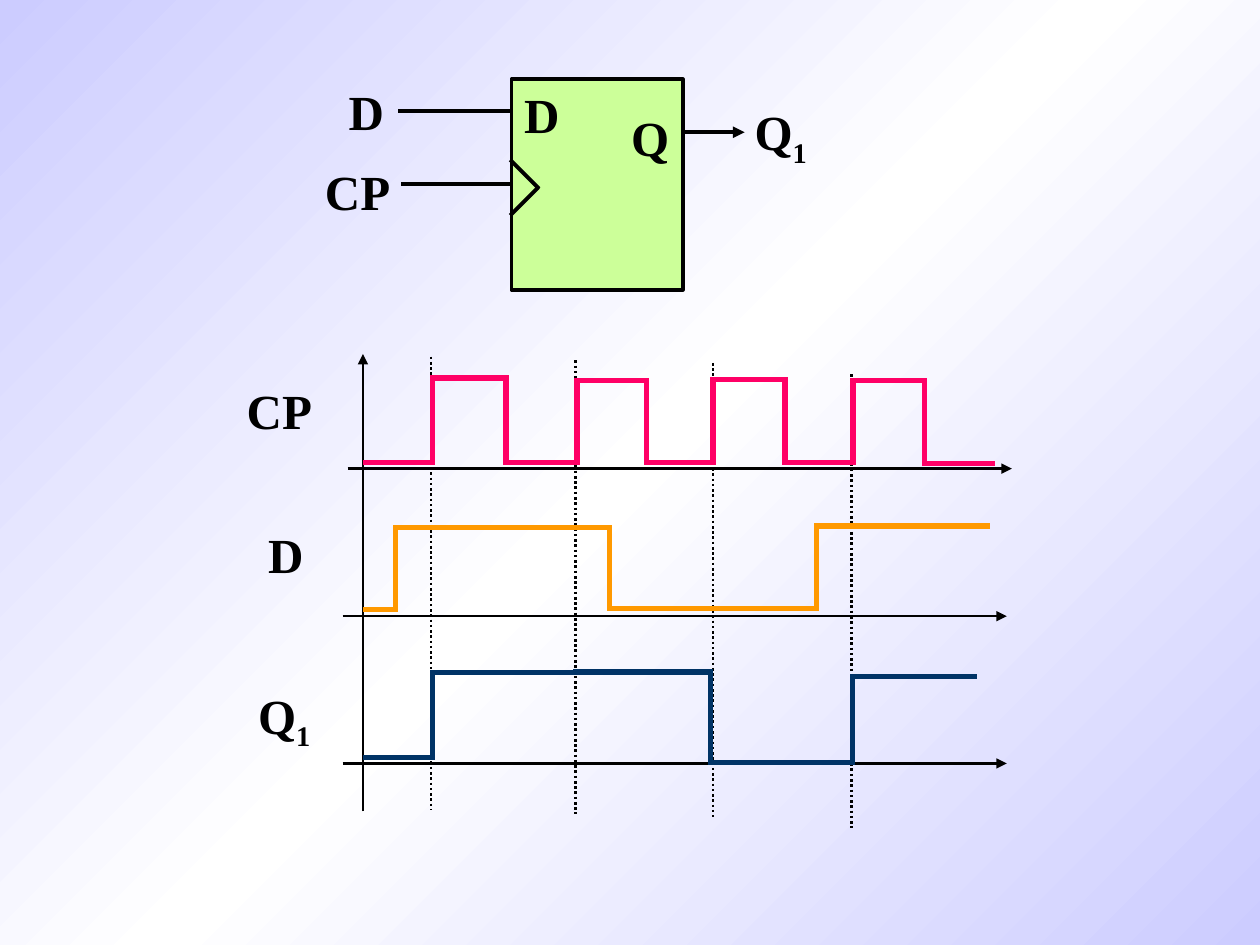
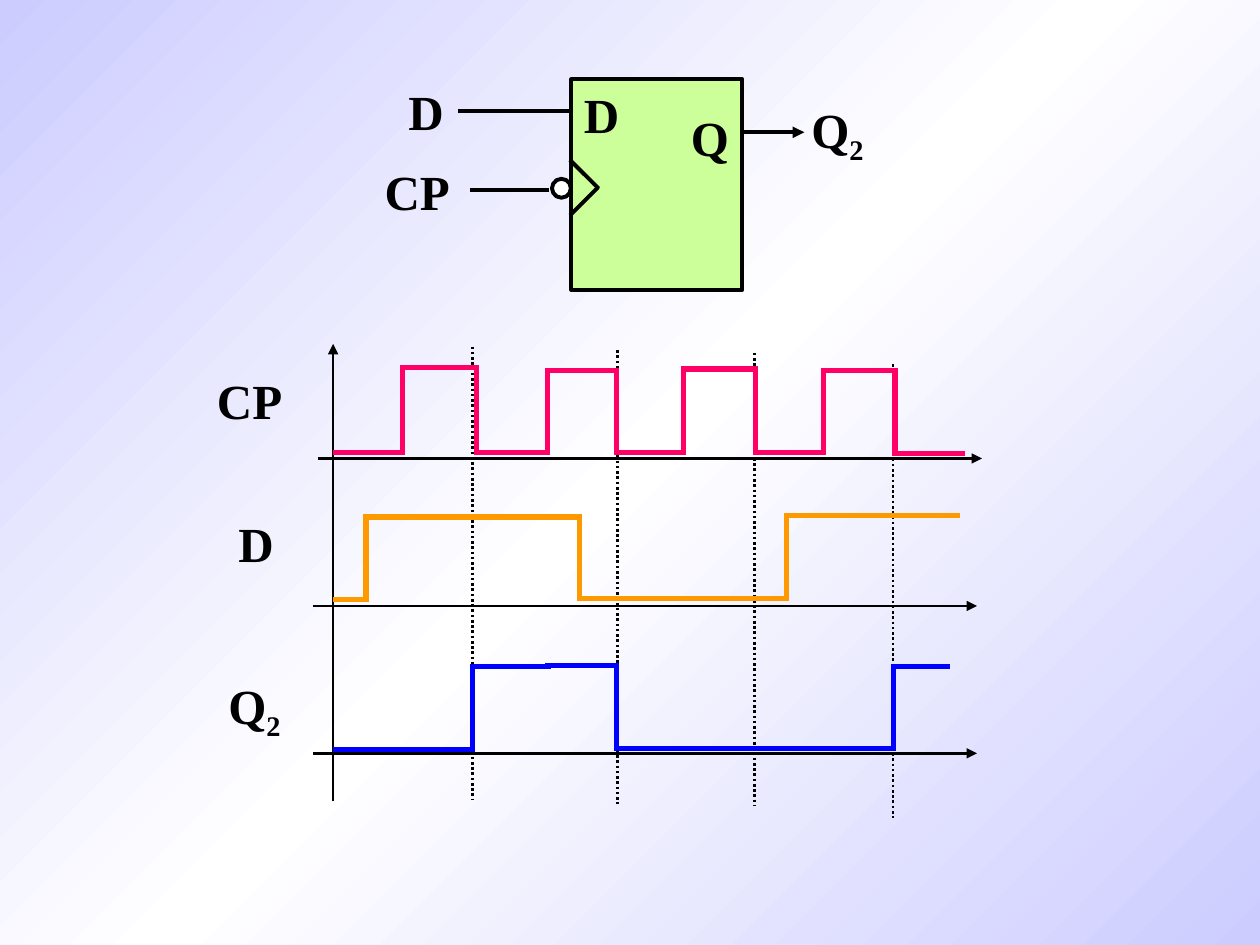
"""Build two D flip-flop slides, each with a circuit symbol and its timing diagram."""
from copy import deepcopy
from dataclasses import dataclass
from itertools import pairwise

from lxml import etree
from pptx import Presentation
from pptx.dml.color import RGBColor
from pptx.enum.dml import MSO_LINE
from pptx.enum.shapes import MSO_CONNECTOR, MSO_SHAPE
from pptx.enum.text import MSO_ANCHOR, PP_ALIGN
from pptx.oxml.ns import qn
from pptx.util import Pt

STRAIGHT = MSO_CONNECTOR.STRAIGHT
RECTANGLE, OVAL = MSO_SHAPE.RECTANGLE, MSO_SHAPE.OVAL
DOTTED = MSO_LINE.ROUND_DOT
MIDDLE, TOP = MSO_ANCHOR.MIDDLE, MSO_ANCHOR.TOP
CENTER, LEFT = PP_ALIGN.CENTER, PP_ALIGN.LEFT

FONT, FONT_SIZE = "Times New Roman", 28
INK, WHITE, BODY_GREEN = "000000", "FFFFFF", "CCFF99"
CLOCK_PINK, DATA_ORANGE = "FF0066", "FF9900"
BACKDROP = [(0, "CCCCFF"), (0.5, "FFFFFF"), (1, "CCCCFF")]
AXIS_WEIGHT, WAVE_WEIGHT, SYMBOL_WEIGHT = 1.5, 3, 2.25
GUIDES = [(246.2, 203.8), (329, 205.9), (407.5, 207.4), (486.7, 213.8)]
GUIDE_LENGTH = 259.2
AXIS_LENGTH = 379.5
AXES = [(198.7, 267.8), (195.8, 352.1), (195.8, 436.3)]


@dataclass
class Label:
    """A signal name with an optional subscript."""
    text: str
    left: float
    top: float
    width: float
    sub: str = ""
    centered: bool = False


@dataclass
class Wire:
    """A straight line from one point to another."""
    x1: float
    y1: float
    x2: float
    y2: float
    weight: float
    color: str = INK
    arrow: bool = False
    dotted: bool = False
    square_ends: bool = False


@dataclass
class Wave:
    """A stepped signal that holds each level between two neighbouring edges."""
    color: str
    edges: list[float]
    levels: list[float]


@dataclass
class FlipFlop:
    """What differs between the two flip-flops."""
    number: str
    symbol_shift: float
    timing_shift: tuple[float, float]
    guide_shift: float
    output_at: tuple[float, float]
    clock_wire: Wire
    inverted: bool
    output: Wave


CLOCK = Wave(CLOCK_PINK,
             [208.8, 247, 289.1, 329.8, 369.4, 407.5, 448.6, 487.4, 528.5, 567],
             [264.2, 216, 264.2, 217.4, 264.2, 216.7, 264.2, 217.4, 264.8])
DATA = Wave(DATA_ORANGE, [208.8, 226.1, 348.1, 466.6, 564],
            [348.5, 301.3, 347.8, 300.6])
FLIP_FLOPS = [
    FlipFlop("1", 0, (0, 0), 0, (424.1, 54.7),
             Wire(291.6, 105.1, 229, 105.1, SYMBOL_WEIGHT), False,
             Wave("003366", [208.8, 247, 329, 406.1, 487.1, 556.5],
                  [432.7, 384.5, 384, 435.6, 386.6])),
    FlipFlop("2", 34.1, (-17, -5.8), 40.7, (422.4, 53.3),
             Wire(279.8, 108.7, 234.5, 108.7, SYMBOL_WEIGHT), True,
             Wave("0000FF", [208.8, 287, 330.2, 369.4, 527.5, 558.5],
                  [434.2, 386.7, 386.2, 433.5, 386.7])),
]


def rgb(color: str) -> RGBColor:
    """Turn a hex string into a colour."""
    return RGBColor.from_string(color)


class Panel:
    """A part of a slide drawn at a common offset."""

    def __init__(self, slide, dx: float, dy: float = 0) -> None:
        """Remember the slide and the offset."""
        self.shapes, self.dx, self.dy = slide.shapes, dx, dy

    def wire(self, wire: Wire) -> None:
        """Draw a wire, dotted or with an arrowhead if asked."""
        connector = self.shapes.add_connector(
            STRAIGHT, Pt(wire.x1 + self.dx), Pt(wire.y1 + self.dy),
            Pt(wire.x2 + self.dx), Pt(wire.y2 + self.dy))
        connector.line.color.rgb = rgb(wire.color)
        connector.line.width = Pt(wire.weight)
        if wire.dotted:
            connector.line.dash_style = DOTTED
        properties = connector._element.spPr
        outline = properties.find(qn("a:ln"))
        if wire.square_ends:
            outline.set("cap", "sq")
        if wire.arrow:
            etree.SubElement(outline, qn("a:tailEnd"), type="triangle")
        etree.SubElement(properties, qn("a:effectLst"))

    def wave(self, wave: Wave) -> None:
        """Draw a stepped signal, one wire for each stretch."""
        corners = [(x, level)
                   for level, span in zip(wave.levels, pairwise(wave.edges))
                   for x in span]
        for start, end in pairwise(corners):
            self.wire(Wire(*start, *end, WAVE_WEIGHT, wave.color, square_ends=True))

    def outline(self, kind, left: float, top: float, width: float, height: float,
                fill: str) -> None:
        """Draw a filled shape with the symbol outline."""
        shape = self.shapes.add_shape(kind, Pt(left + self.dx), Pt(top + self.dy),
                                      Pt(width), Pt(height))
        shape.shadow.inherit = False
        shape.fill.solid()
        shape.fill.fore_color.rgb = rgb(fill)
        shape.line.color.rgb = rgb(INK)
        shape.line.width = Pt(SYMBOL_WEIGHT)

    def label(self, label: Label) -> None:
        """Write a signal name."""
        height = 45.4 if label.sub else 41
        box = self.shapes.add_textbox(Pt(label.left + self.dx), Pt(label.top + self.dy),
                                      Pt(label.width), Pt(height))
        frame = box.text_frame
        frame.word_wrap = not label.centered
        frame.vertical_anchor = MIDDLE if label.centered else TOP
        paragraph = frame.paragraphs[0]
        paragraph.alignment = CENTER if label.centered else LEFT
        paragraph.add_run().text = label.text
        if label.sub:
            subscript = paragraph.add_run()
            subscript.text = label.sub
            subscript._r.get_or_add_rPr().set("baseline", "-25000")
        font = paragraph.font
        font.name, font.size, font.bold = FONT, Pt(FONT_SIZE), True
        font.color.rgb = rgb(INK)


def draw_timing(slide, flip_flop: FlipFlop) -> None:
    """Draw the signal names, guides, axes and waves."""
    panel = Panel(slide, *flip_flop.timing_shift)
    for label in (Label("CP", 133.9, 213.8, 54), Label("D", 146.2, 295.9, 48.2),
                  Label("Q", 140.4, 388.1, 54, flip_flop.number)):
        panel.label(label)
    for guide_x, top in GUIDES:
        x = guide_x + flip_flop.guide_shift
        panel.wire(Wire(x, top, x, top + GUIDE_LENGTH, AXIS_WEIGHT, dotted=True))
    for left, y in AXES:
        panel.wire(Wire(left, y, left + AXIS_LENGTH, y, AXIS_WEIGHT, arrow=True))
    panel.wire(Wire(207.4, 463.7, 207.4, 202.3, AXIS_WEIGHT, arrow=True))
    for wave in (CLOCK, DATA, flip_flop.output):
        panel.wave(wave)


def draw_symbol(slide, flip_flop: FlipFlop) -> None:
    """Draw the flip-flop with its inputs and output."""
    panel = Panel(slide, flip_flop.symbol_shift)
    panel.outline(RECTANGLE, 292.3, 45.4, 97.9, 120.2, BODY_GREEN)
    for wire in (Wire(227.5, 63.4, 291.6, 63.4, SYMBOL_WEIGHT),
                 Wire(291.6, 91.4, 308, 107.8, SYMBOL_WEIGHT),
                 Wire(307.7, 107, 291.6, 123.1, SYMBOL_WEIGHT),
                 Wire(390.2, 75.6, 425.5, 75.6, SYMBOL_WEIGHT, arrow=True),
                 flip_flop.clock_wire):
        panel.wire(wire)
    if flip_flop.inverted:
        panel.outline(OVAL, 281.3, 102.2, 10.8, 10.8, WHITE)
    for label in (Label("D", 292.3, 44.6, 34.6, centered=True),
                  Label("Q", 353.5, 57.6, 36, centered=True),
                  Label("D", 192.2, 43.2, 41), Label("CP", 178.6, 88.6, 52.6),
                  Label("Q", *flip_flop.output_at, 56.9, flip_flop.number)):
        panel.label(label)


def paint_backdrop(master) -> None:
    """Give every slide the diagonal gradient."""
    fill = master.background.fill
    fill.gradient()
    fill.gradient_angle = 315
    stops = master._element.find(".//" + qn("a:gsLst"))
    stops.append(deepcopy(stops[0]))
    for stop, (position, color) in zip(fill.gradient_stops, BACKDROP):
        stop.position = position
        stop.color.rgb = rgb(color)


def main() -> None:
    """Build and save the slides."""
    presentation = Presentation()
    presentation.slide_width, presentation.slide_height = Pt(720), Pt(540)
    paint_backdrop(presentation.slide_master)
    for flip_flop in FLIP_FLOPS:
        slide = presentation.slides.add_slide(presentation.slide_layouts[6])
        draw_timing(slide, flip_flop)
        draw_symbol(slide, flip_flop)
    presentation.save("out.pptx")


if __name__ == "__main__":
    main()
